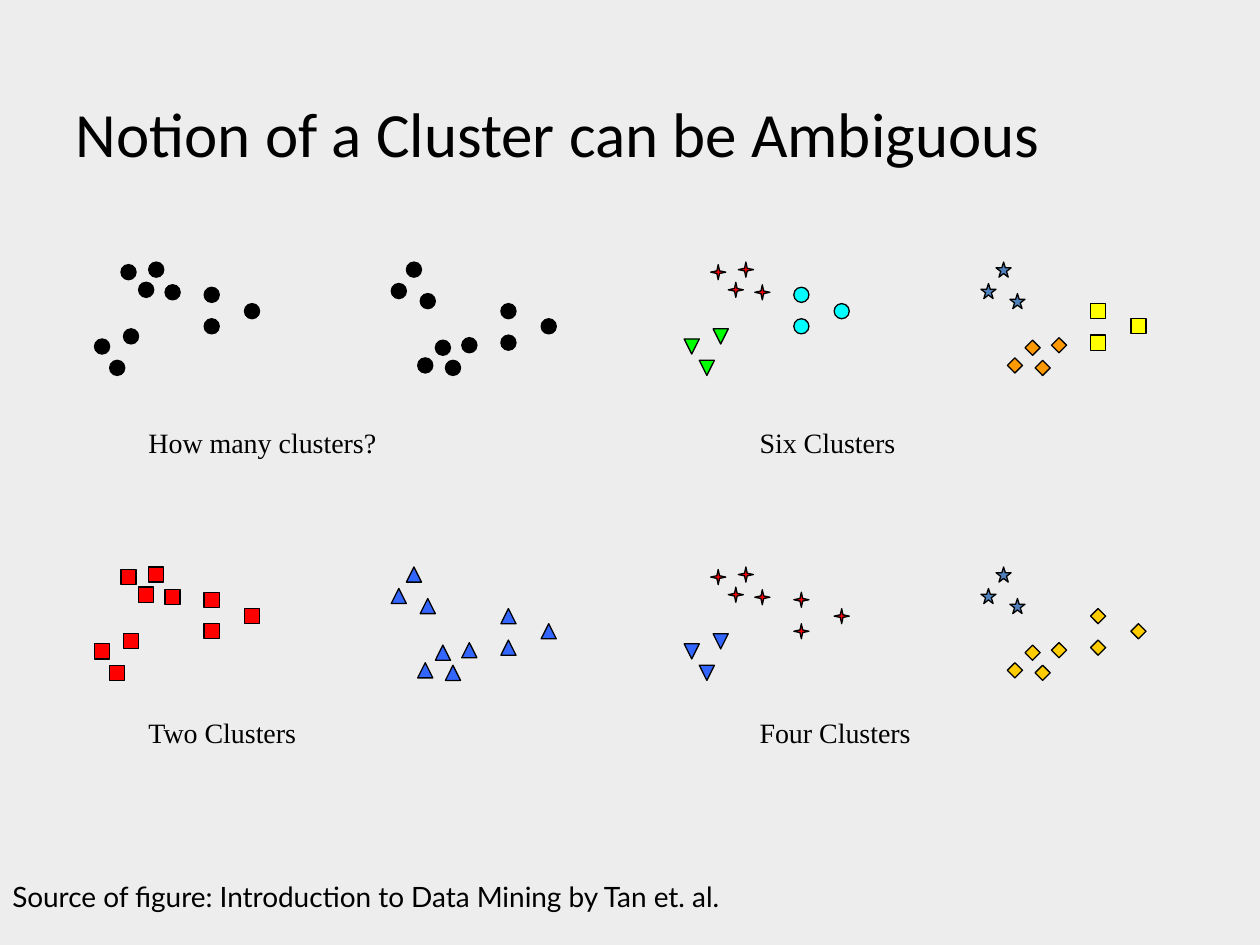
import pptx
import pptx.util
import pptx.dml.color
import pptx.enum.shapes
import pptx.enum.text

MSO = pptx.enum.shapes.MSO_SHAPE
RGB = pptx.dml.color.RGBColor.from_string
FIT = pptx.enum.text.MSO_AUTO_SIZE

theme = {
    "background": "EDEDED", "ink": "000000",
    "red": "FF0000", "blue": "3366FF", "steel": "4F81BD", "green": "00FF00",
    "cyan": "00FFFF", "yellow": "FFFF00", "orange": "FF9900", "gold": "FFCC00",
    "title": ("Calibri", 36), "caption": ("Times New Roman", 16), "source": ("Lato", 16),
    "outline": 0.75,
}

prs = pptx.Presentation()
prs.slide_width = pptx.util.Inches(10)
prs.slide_height = pptx.util.Inches(7.5)
col = prs.slide_width / 100
row = prs.slide_height / 75


def place(x, y, w, h):
    return round(x * col), round(y * row), round(w * col), round(h * row)


def write(sp, text, style, fit):
    tf = sp.text_frame
    tf.text = text
    tf.word_wrap = True
    tf.auto_size = fit
    p = tf.paragraphs[0]
    p.alignment = pptx.enum.text.PP_ALIGN.LEFT
    font = p.runs[0].font
    font.name = theme[style][0]
    font.size = pptx.util.Pt(theme[style][1])
    font.color.rgb = RGB(theme["ink"])


s = prs.slides.add_slide(prs.slide_layouts[5])
s.background.fill.solid()
s.background.fill.fore_color.rgb = RGB(theme["background"])

title = s.shapes.title
title.left, title.top, title.width, title.height = place(5, 7.5, 90.6, 6)
write(title, "Notion of a Cluster can be Ambiguous", "title", FIT.NONE)
title.text_frame.vertical_anchor = pptx.enum.text.MSO_ANCHOR.BOTTOM
title.text_frame.margin_top = title.text_frame.margin_bottom = 0

points = {
    "four": [(13.1, 22.6), (9.6, 21), (11.8, 20.8), (11, 22.4)],
    "corner": [(9.8, 26.1), (7.5, 26.9), (8.7, 28.6)],
    "side": [(16.2, 22.8), (19.4, 24.1), (16.2, 25.3)],
}
marker = 1.2
panel_dx, panel_dy = 46.8, 24.2
caption_dx, caption_dy = 48.5, 23
half_dx, mirror_y = 23.55, 49.4

dot = (MSO.OVAL, "ink")
square = (MSO.RECTANGLE, "red")
triangle = (MSO.ISOSCELES_TRIANGLE, "blue")
spark = (MSO.STAR_4_POINT, "red")
star = (MSO.STAR_5_POINT, "steel")
gem = (MSO.DIAMOND, "gold")

panels = [
    ("How many clusters?", 0, 0,
     {"four": dot, "corner": dot, "side": dot},
     {"four": dot, "corner": dot, "side": dot}),
    ("Six Clusters", 1, 0,
     {"four": spark, "corner": (MSO.FLOWCHART_MERGE, "green"), "side": (MSO.OVAL, "cyan")},
     {"four": (MSO.DIAMOND, "orange"), "corner": star, "side": (MSO.RECTANGLE, "yellow")}),
    ("Two Clusters", 0, 1,
     {"four": square, "corner": square, "side": square},
     {"four": triangle, "corner": triangle, "side": triangle}),
    ("Four Clusters", 1, 1,
     {"four": spark, "corner": (MSO.FLOWCHART_MERGE, "blue"), "side": spark},
     {"four": gem, "corner": star, "side": gem}),
]

for caption, i, j, upper, lower in panels:
    group = s.shapes.add_group_shape()
    for half, looks in enumerate((upper, lower)):
        for name, (kind, color) in looks.items():
            for x, y in points[name]:
                left = x + half * half_dx + i * panel_dx
                top = (mirror_y - y if half else y) + j * panel_dy
                sp = group.shapes.add_shape(kind, *place(left, top, marker, marker))
                sp.shadow.inherit = False
                sp.fill.solid()
                sp.fill.fore_color.rgb = RGB(theme[color])
                sp.line.color.rgb = RGB(theme["ink"])
                sp.line.width = pptx.util.Pt(theme["outline"])
    box = place(10.8 + i * caption_dx, 33.3 + j * caption_dy, 25, 3.7)
    write(group.shapes.add_textbox(*box), caption, "caption", FIT.SHAPE_TO_FIT_TEXT)

source = s.shapes.add_textbox(*place(0, 69.3, 76.7, 3.7))
write(source, "Source of figure: Introduction to Data Mining by Tan et. al.", "source",
      FIT.SHAPE_TO_FIT_TEXT)

prs.save("out.pptx")
